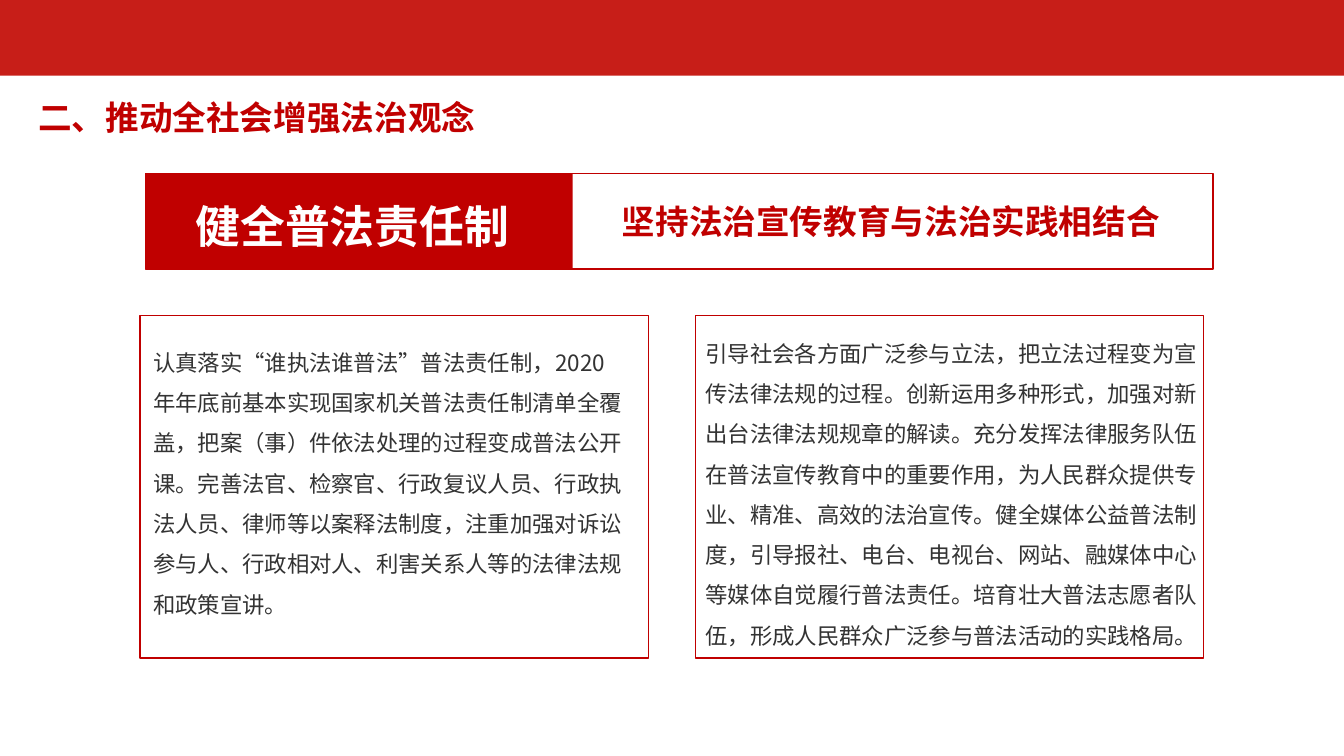
from dataclasses import dataclass

from lxml import etree
from pptx import Presentation
from pptx.dml.color import RGBColor
from pptx.enum.shapes import MSO_SHAPE
from pptx.enum.text import MSO_ANCHOR, MSO_AUTO_SIZE, PP_ALIGN
from pptx.oxml.ns import qn
from pptx.util import Inches, Pt

RECT = MSO_SHAPE.RECTANGLE
TOP = MSO_ANCHOR.TOP
LEFT = PP_ALIGN.LEFT
GROW = MSO_AUTO_SIZE.SHAPE_TO_FIT_TEXT

FONT = "Noto Sans CJK SC"
COLORS = {"bar": "C71E18", "red": "C00000", "white": "FFFFFF", "body": "333333"}

BANNER_LEFT, BANNER_TOP, BANNER_HEIGHT = 1.44, 1.72, 0.95
CARD_TOP, CARD_WIDTH, CARD_HEIGHT = 3.13, 5.04, 3.4


@dataclass
class Label:
    text: str
    box: tuple[float, float, float, float]
    size: int
    color: str
    bold: bool = False
    spacing: float = 1.0


@dataclass
class Card:
    left: float
    label: Label


HEADING = Label("二、推动全社会增强法治观念", (0.28, 0.83, 4.58, 0.56), 24, "red", True, 1.2)

BANNER_LABELS = [
    Label("坚持法治宣传教育与法治实践相结合", (6.07, 1.94, 5.82, 0.5), 24, "red", True),
    Label("健全普法责任制", (1.84, 1.92, 3.52, 0.64), 32, "white", True),
]

CARDS = [
    Card(1.39, Label(
        "认真落实“谁执法谁普法”普法责任制，2020年年底前基本实现国家机关普法责任制清单全覆盖，"
        "把案（事）件依法处理的过程变成普法公开课。完善法官、检察官、行政复议人员、"
        "行政执法人员、律师等以案释法制度，注重加强对诉讼参与人、行政相对人、"
        "利害关系人等的法律法规和政策宣讲。",
        (1.42, 3.28, 4.89, 2.93), 16, "body", spacing=1.5)),
    Card(6.9, Label(
        "引导社会各方面广泛参与立法，把立法过程变为宣传法律法规的过程。创新运用多种形式，"
        "加强对新出台法律法规规章的解读。充分发挥法律服务队伍在普法宣传教育中的重要作用，"
        "为人民群众提供专业、精准、高效的法治宣传。健全媒体公益普法制度，引导报社、电台、"
        "电视台、网站、融媒体中心等媒体自觉履行普法责任。培育壮大普法志愿者队伍，"
        "形成人民群众广泛参与普法活动的实践格局。",
        (6.9, 3.19, 5.28, 3.33), 16, "body", spacing=1.5)),
]


def rgb(name: str) -> RGBColor:
    return RGBColor.from_string(COLORS[name])


def add_rect(s, box: tuple[float, float, float, float],
             fill: str | None = None, line: str | None = None) -> None:
    sp = s.shapes.add_shape(RECT, *map(Inches, box))
    sp.shadow.inherit = False
    if fill:
        sp.fill.solid()
        sp.fill.fore_color.rgb = rgb(fill)
    else:
        sp.fill.background()
    if line:
        sp.line.color.rgb = rgb(line)
        sp.line.width = Pt(1)
    else:
        sp.line.fill.background()


def write_label(sp, label: Label, wrap: bool = True) -> None:
    """Place a text shape and format its single paragraph."""
    sp.left, sp.top, sp.width, sp.height = map(Inches, label.box)
    tf = sp.text_frame
    tf.word_wrap = wrap
    tf.auto_size = GROW
    tf.vertical_anchor = TOP
    p = tf.paragraphs[0]
    p.text = label.text
    p.alignment = LEFT
    p.line_spacing = label.spacing
    p.space_before = Pt(0)
    font = p.font
    font.name = FONT
    font.size = Pt(label.size)
    font.bold = label.bold
    font.color.rgb = rgb(label.color)
    latin = p._p.pPr.find(qn("a:defRPr")).find(qn("a:latin"))
    east_asian = etree.Element(qn("a:ea"), typeface=FONT)
    latin.addnext(east_asian)


def add_label(s, label: Label) -> None:
    write_label(s.shapes.add_textbox(*map(Inches, label.box)), label)


def main() -> None:
    prs = Presentation()
    prs.slide_width, prs.slide_height = Inches(13.33), Inches(7.5)
    s = prs.slides.add_slide(prs.slide_layouts[5])

    add_rect(s, (0, 0, 13.33, 0.75), fill="bar")
    write_label(s.shapes.title, HEADING, wrap=False)

    add_rect(s, (BANNER_LEFT, BANNER_TOP, 4.24, BANNER_HEIGHT), fill="red")
    add_rect(s, (BANNER_LEFT, BANNER_TOP, 10.59, BANNER_HEIGHT), line="red")
    for label in BANNER_LABELS:
        add_label(s, label)

    for card in CARDS:
        add_rect(s, (card.left, CARD_TOP, CARD_WIDTH, CARD_HEIGHT), line="red")
        add_label(s, card.label)

    prs.save("out.pptx")


if __name__ == "__main__":
    main()
